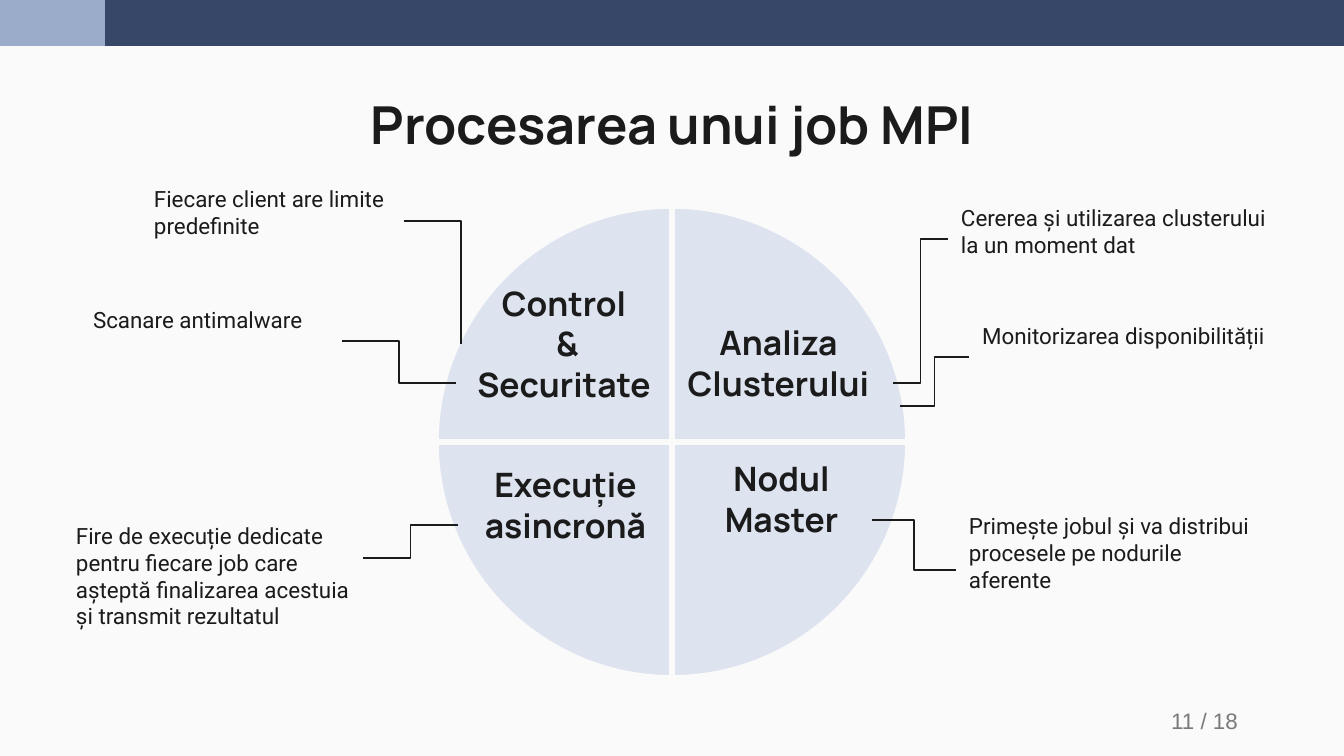
from dataclasses import dataclass

from pptx import Presentation
from pptx.dml.color import RGBColor
from pptx.enum.shapes import MSO_CONNECTOR, MSO_SHAPE
from pptx.enum.text import MSO_ANCHOR, MSO_AUTO_SIZE, PP_ALIGN
from pptx.oxml.ns import qn
from pptx.util import Emu, Pt
from lxml.etree import SubElement

SLIDE_W, SLIDE_H = 1344, 756
EMU_PER_PX = 9144000 / SLIDE_W
INSET = 13
COLORS = {
    "background": "FAFAFA",
    "band": "374768",
    "accent": "9BACCA",
    "wheel": "C2CDE5",
    "ink": "1B1B1B",
    "muted": "7A7A7A",
}


@dataclass(frozen=True)
class Box:
    left: int
    top: int
    width: int
    height: int


@dataclass(frozen=True)
class Stage:
    text: str
    box: Box


@dataclass(frozen=True)
class Note:
    text: str
    box: Box


@dataclass(frozen=True)
class Leader:
    start: tuple[int, int]
    end: tuple[int, int]
    single_bend: bool = False


STAGES = [
    Stage("Control\n &\nSecuritate", Box(456, 351, 216, 66)),
    Stage("Analiza Clusterului", Box(665, 350, 227, 66)),
    Stage("Execuție\nasincronă", Box(458, 492, 215, 66)),
    Stage("Nodul\nMaster", Box(691, 486, 181, 66)),
]
NOTES = [
    Note("Fiecare client are limite predefinite", Box(141, 172, 263, 97)),
    Note("Scanare antimalware", Box(80, 293, 262, 97)),
    Note("Fire de execuție dedicate pentru fiecare job care așteptă "
         "finalizarea acestuia și transmit rezultatul", Box(63, 509, 300, 97)),
    Note("Cererea și utilizarea clusterului la un moment dat", Box(948, 191, 332, 97)),
    Note("Monitorizarea disponibilității", Box(969, 309, 362, 97)),
    Note("Primește jobul și va distribui procesele pe nodurile aferente",
         Box(956, 499, 325, 141)),
]
LEADERS = [
    Leader((404, 221), (461, 344), single_bend=True),
    Leader((456, 383), (342, 341)),
    Leader((363, 558), (458, 525)),
    Leader((948, 239), (893, 383)),
    Leader((969, 357), (900, 406)),
    Leader((956, 570), (872, 520)),
]


def px(length: int) -> Emu:
    return Emu(round(length * EMU_PER_PX))


def rgb(name: str) -> RGBColor:
    return RGBColor.from_string(COLORS[name])


def place(shape, box: Box) -> None:
    shape.left, shape.top = px(box.left), px(box.top)
    shape.width, shape.height = px(box.width), px(box.height)


def write(shape, text: str, *, font: str, size: int, color: str = "ink",
          bold: bool = False, align=PP_ALIGN.LEFT, anchor=MSO_ANCHOR.TOP) -> None:
    frame = shape.text_frame
    frame.word_wrap = True
    frame.auto_size = MSO_AUTO_SIZE.NONE
    frame.vertical_anchor = anchor
    frame.margin_left = frame.margin_right = px(INSET)
    frame.margin_top = frame.margin_bottom = px(INSET)
    paragraph = frame.paragraphs[0]
    paragraph.text = text
    paragraph.alignment = align
    for run in paragraph.runs:
        run.font.name = font
        run.font.size = Pt(size)
        run.font.bold = bold
        run.font.color.rgb = rgb(color)


def add_text(slide, text: str, box: Box, **style) -> None:
    textbox = slide.shapes.add_textbox(0, 0, 0, 0)
    place(textbox, box)
    write(textbox, text, **style)


def add_filled(slide, preset: MSO_SHAPE, box: Box, color: str):
    shape = slide.shapes.add_shape(preset, 0, 0, 0, 0)
    place(shape, box)
    shape.shadow.inherit = False
    shape.fill.solid()
    shape.fill.fore_color.rgb = rgb(color)
    shape.line.fill.background()
    return shape


def add_wheel(slide, box: Box) -> None:
    """Draw the half-transparent disc split into four quarters."""
    wheel = add_filled(slide, MSO_SHAPE.FLOWCHART_OR, box, "wheel")
    fill_color = wheel._element.spPr.find(qn("a:solidFill"))[0]
    SubElement(fill_color, qn("a:alpha")).set("val", "50000")
    wheel.line.color.rgb = rgb("background")
    wheel.line.width = Pt(3)


def add_leader(slide, leader: Leader) -> None:
    connector = slide.shapes.add_connector(
        MSO_CONNECTOR.ELBOW, *map(px, leader.start + leader.end))
    connector.line.color.rgb = rgb("ink")
    connector.line.width = Pt(0.75)
    properties = connector._element.spPr
    if leader.single_bend:
        properties.find(qn("a:prstGeom")).set("prst", "bentConnector2")
    SubElement(properties, qn("a:effectLst"))


def main() -> None:
    deck = Presentation()
    deck.slide_width, deck.slide_height = px(SLIDE_W), px(SLIDE_H)
    slide = deck.slides.add_slide(deck.slide_layouts[5])
    slide.background.fill.solid()
    slide.background.fill.fore_color.rgb = rgb("background")

    add_filled(slide, MSO_SHAPE.RECTANGLE, Box(0, 0, SLIDE_W, 46), "band")
    add_filled(slide, MSO_SHAPE.RECTANGLE, Box(0, 0, 105, 46), "accent")

    title = slide.shapes.title
    place(title, Box(106, 79, 1132, 85))
    write(title, "Procesarea unui job MPI", font="Manrope", size=28, bold=True,
          align=PP_ALIGN.CENTER)

    add_wheel(slide, Box(436, 206, 472, 472))
    for stage in STAGES:
        add_text(slide, stage.text, stage.box, font="Manrope", size=18, bold=True,
                 align=PP_ALIGN.CENTER, anchor=MSO_ANCHOR.BOTTOM)
    for note in NOTES:
        add_text(slide, note.text, note.box, font="Roboto", size=12)
    for leader in LEADERS:
        add_leader(slide, leader)

    add_text(slide, "11 / 18", Box(949, 700, 302, 41), font="Arial", size=12,
             color="muted", align=PP_ALIGN.RIGHT, anchor=MSO_ANCHOR.MIDDLE)
    deck.save("out.pptx")


if __name__ == "__main__":
    main()
